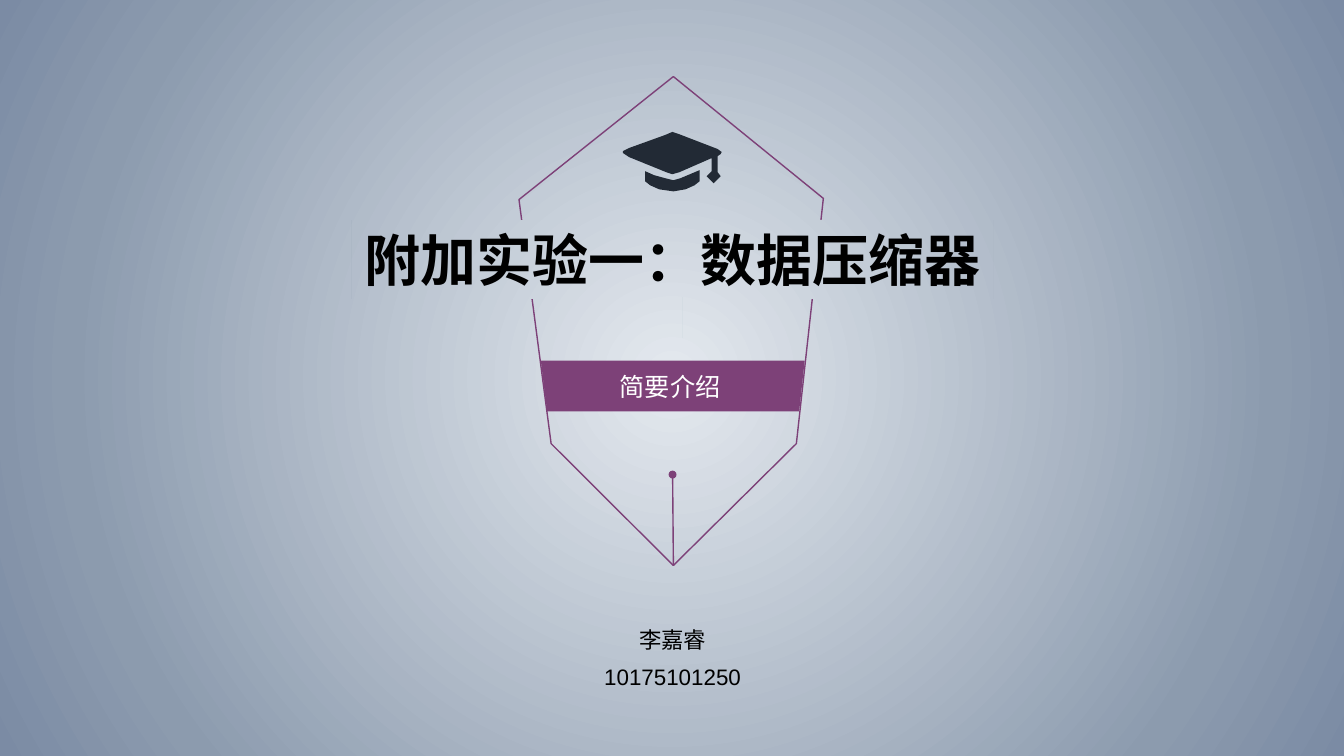
from lxml import etree
from pptx import Presentation
from pptx.dml.color import RGBColor
from pptx.enum.shapes import MSO_CONNECTOR, MSO_SHAPE
from pptx.enum.text import MSO_ANCHOR, MSO_AUTO_SIZE, PP_ALIGN
from pptx.oxml import parse_xml
from pptx.oxml.ns import nsdecls, qn
from pptx.util import Cm, Pt

PLUM = RGBColor(0x7D, 0x41, 0x78)
NAVY = RGBColor(0x22, 0x2A, 0x35)
BLACK = RGBColor(0, 0, 0)
WHITE = RGBColor(0xFF, 0xFF, 0xFF)
BACKDROP = [
    (0, RGBColor(0xE4, 0xE9, 0xEF)),
    (78, RGBColor(0x8C, 0x9B, 0xAE)),
    (100, RGBColor(0x7B, 0x8B, 0xA4)),
]
FONT = "Arial"
TITLE_ONLY = 5

PEN_OUTLINE = [(0, 3.1), (3.89, 0), (7.67, 3.07), (6.99, 9.25), (3.89, 12.32), (0.81, 9.25)]
BAND = [(0.55, 7.16), (7.2, 7.16), (7.06, 8.44), (0.71, 8.44)]
CAP_BOARD = [
    (96, 25), (96, 41), (99, 45), (92, 52), (85, 45), (90, 40), (90, 27), (58, 41),
    (51, 43), (45, 41), (8, 26), (2, 22), (2, 20), (8, 17), (44, 4), (51, 1), (57, 3),
    (96, 18), (100, 21), (99, 23),
]
CAP_BASE = [
    (59, 47), (78, 39), (78, 50), (73, 54), (64, 58), (52, 60), (38, 58), (29, 54),
    (24, 50), (24, 40), (33, 44), (44, 47), (52, 49),
]


def style(shape, fill=None, line=None):
    shape.shadow.inherit = False
    if fill is None:
        shape.fill.background()
    else:
        shape.fill.solid()
        shape.fill.fore_color.rgb = fill
    if line is None:
        shape.line.fill.background()
    else:
        shape.line.color.rgb = line
        shape.line.width = Pt(1)


def add_outline(slide, left, top, unit, contours, fill=None, line=None):
    contours = [[(round(x * 100), round(y * 100)) for x, y in points] for points in contours]
    builder = slide.shapes.build_freeform(*contours[0][0], scale=unit / 100)
    for index, points in enumerate(contours):
        if index:
            builder.move_to(*points[0])
        builder.add_line_segments(points[1:], close=True)
    style(builder.convert_to_shape(left, top), fill, line)


def write(shape, text, size, color, align, bold=False, wrap=False):
    frame = shape.text_frame
    frame.word_wrap = wrap
    frame.auto_size = MSO_AUTO_SIZE.NONE
    frame.vertical_anchor = MSO_ANCHOR.MIDDLE
    paragraph = frame.paragraphs[0]
    paragraph.alignment = align
    run = paragraph.add_run()
    run.text = text
    run.font.name = FONT
    run.font.size = Pt(size)
    run.font.bold = bold
    run.font.color.rgb = color


def show_backdrop(shape):
    properties = shape._element.spPr
    for fill in properties.findall(qn("a:noFill")):
        properties.remove(fill)
    shape._element.set("useBgFill", "1")


def paint_backdrop(slide):
    stops = "".join(f'<a:gs pos="{pos * 1000}"><a:srgbClr val="{color}"/></a:gs>'
                    for pos, color in BACKDROP)
    background = parse_xml(
        f'<p:bg {nsdecls("p", "a")}><p:bgPr><a:gradFill rotWithShape="1">'
        f'<a:gsLst>{stops}</a:gsLst><a:path path="circle">'
        '<a:fillToRect l="50000" t="50000" r="50000" b="50000"/></a:path>'
        '</a:gradFill><a:effectLst/></p:bgPr></p:bg>')
    slide._element.cSld.insert(0, background)


def add_cap(slide, left, top, width):
    add_outline(slide, left, top, width / 104, [CAP_BOARD, CAP_BASE], fill=NAVY)


def place_title(slide, left, top, width, height, text):
    title = slide.shapes.title
    slide.shapes._spTree.append(title._element)
    title.left, title.top, title.width, title.height = left, top, width, height
    write(title, text, 40, BLACK, PP_ALIGN.CENTER, bold=True)
    show_backdrop(title)


def add_nib_slit(slide, left, top):
    slit = slide.shapes.add_connector(
        MSO_CONNECTOR.STRAIGHT, left + Cm(3.89), top + Cm(12.32), left + Cm(3.87), top + Cm(9.98))
    slit.line.color.rgb = PLUM
    slit.line.width = Pt(1)
    etree.SubElement(slit._element.spPr, qn("a:effectLst"))
    hole = slide.shapes.add_shape(
        MSO_SHAPE.OVAL, left + Cm(3.77), top + Cm(9.93), Cm(0.2), Cm(0.2))
    style(hole, fill=PLUM)


def add_emblem(slide, left, top, title, subtitle):
    add_outline(slide, left, top, Cm(1), [PEN_OUTLINE], line=PLUM)
    add_outline(slide, left, top, Cm(1), [BAND], fill=PLUM)
    place_title(slide, left - Cm(4.22), top + Cm(3.63), Cm(16.18), Cm(1.96), title)
    gap = slide.shapes.add_shape(
        MSO_SHAPE.RECTANGLE, left + Cm(3.61), top + Cm(5.56), Cm(0.51), Cm(1.02))
    style(gap)
    show_backdrop(gap)
    add_nib_slit(slide, left, top)
    add_cap(slide, left + Cm(2.57), top + Cm(1.37), Cm(2.64))
    label = slide.shapes.add_textbox(left + Cm(2.29), top + Cm(7.3), Cm(5.56), Cm(1.02))
    write(label, subtitle, 18, WHITE, PP_ALIGN.LEFT, wrap=True)


def add_author(slide, center, top, entries):
    for row, (text, width) in enumerate(entries):
        entry = slide.shapes.add_textbox(center - width // 2, top + row * Cm(0.94), width, Cm(0.94))
        write(entry, text, 16, BLACK, PP_ALIGN.CENTER)


def build_cover(deck):
    cover = deck.slides.add_slide(deck.slide_layouts[TITLE_ONLY])
    paint_backdrop(cover)
    add_author(cover, Cm(16.95), Cm(15.65), [("李嘉睿", Cm(2.24)), ("10175101250", Cm(4.19))])
    add_emblem(cover, Cm(13.08), Cm(1.93), "附加实验一：数据压缩器", "简要介绍")


deck = Presentation()
deck.slide_width, deck.slide_height = Cm(33.87), Cm(19.05)
build_cover(deck)
deck.save("out.pptx")
